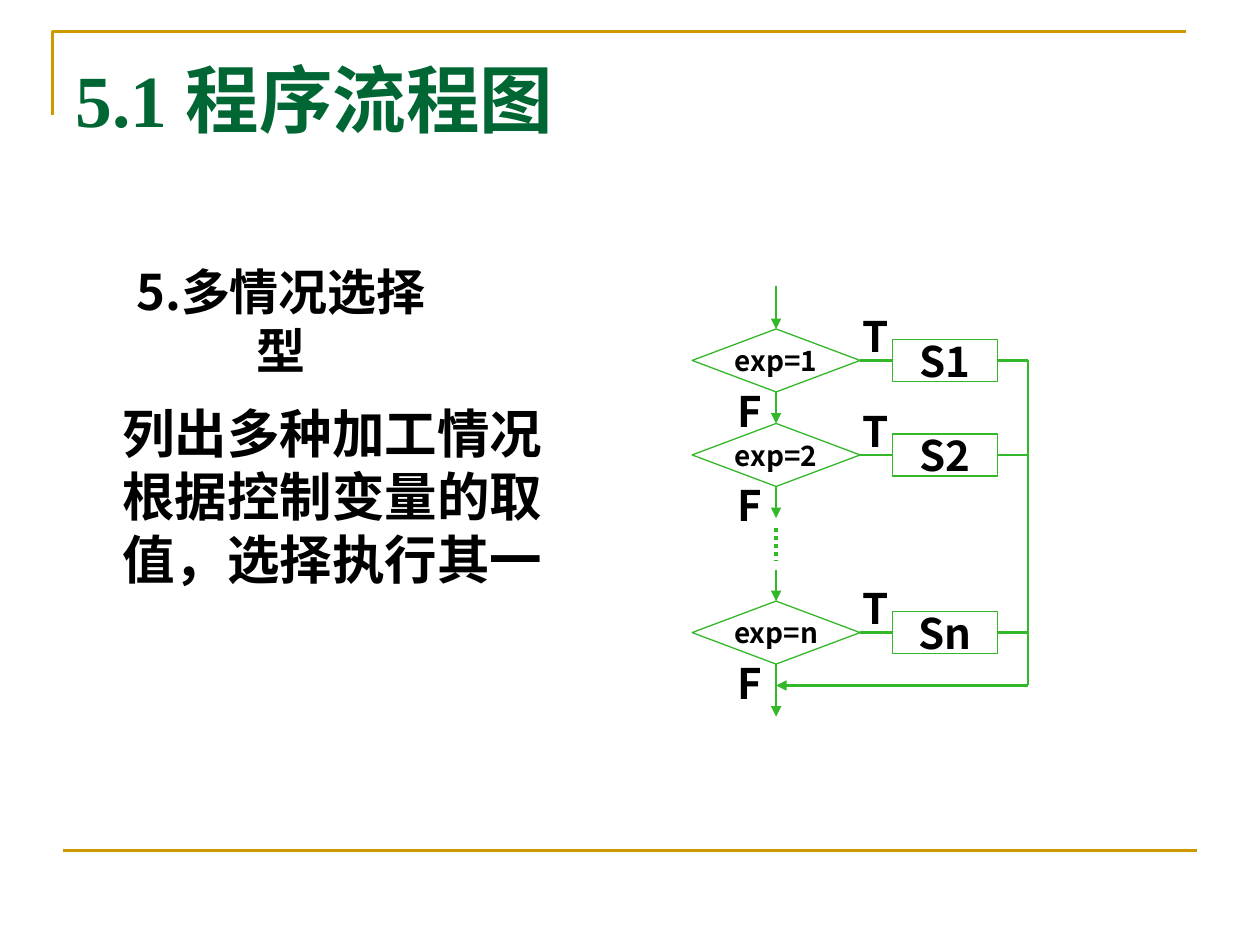
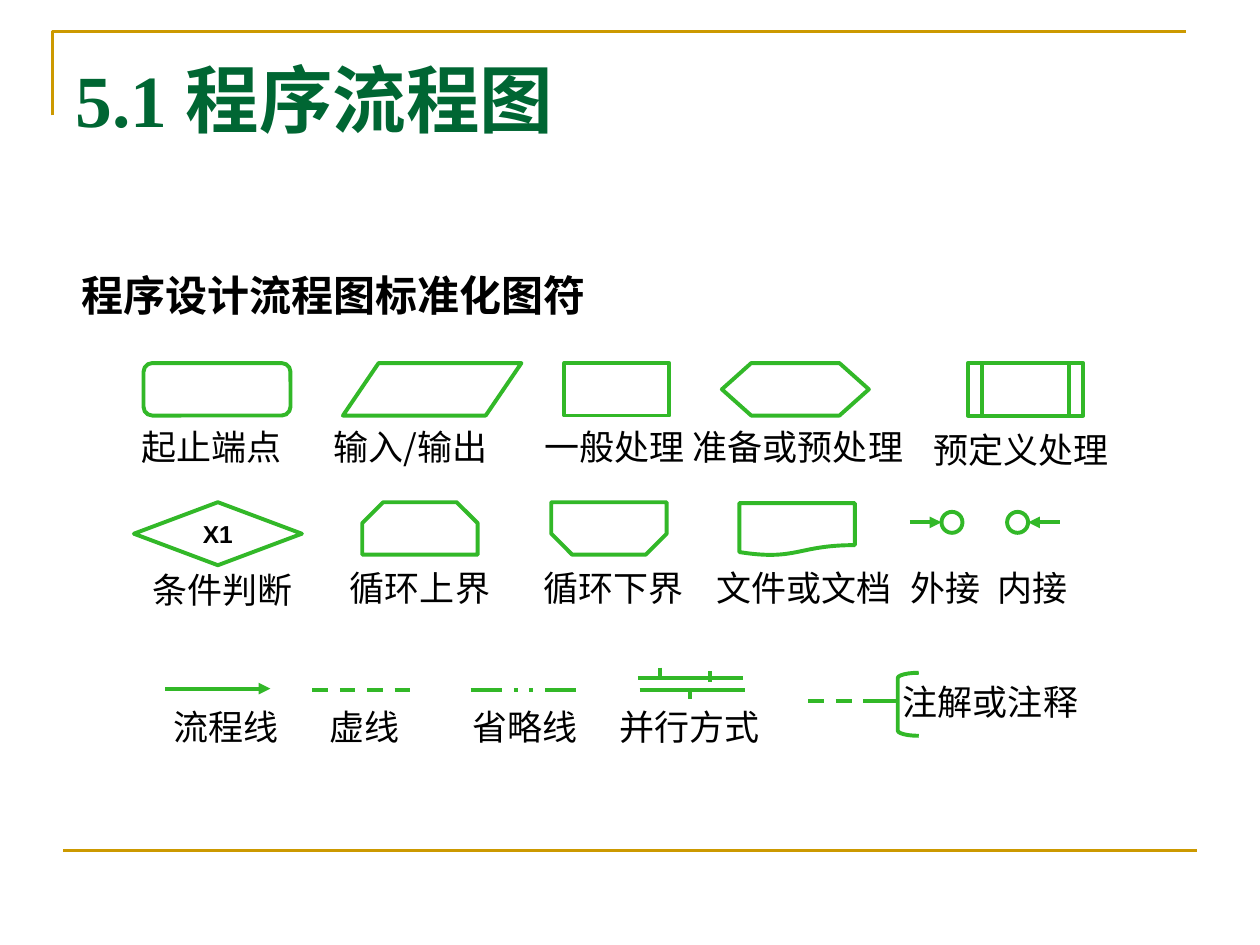
from lxml import etree
from pptx import Presentation
from pptx.dml.color import RGBColor
from pptx.enum.dml import MSO_LINE
from pptx.enum.shapes import MSO_CONNECTOR, MSO_SHAPE
from pptx.enum.text import MSO_ANCHOR, MSO_AUTO_SIZE, PP_ALIGN
from pptx.oxml.ns import qn
from pptx.util import Pt

GREEN = RGBColor(0x32, 0xB8, 0x28)
GOLD = RGBColor(0xCC, 0x99, 0x00)
TITLE = RGBColor(0x00, 0x66, 0x33)
BLACK = RGBColor(0, 0, 0)
WHITE = RGBColor(255, 255, 255)
SANS, SERIF, ARIAL = "Noto Sans CJK SC", "Times New Roman", "Arial"
LEFT, CENTER = PP_ALIGN.LEFT, PP_ALIGN.CENTER
MIDDLE = MSO_ANCHOR.MIDDLE
NO_FIT = MSO_AUTO_SIZE.NONE
STRAIGHT = MSO_CONNECTOR.STRAIGHT
DOT, DASH, DASH_DOT = MSO_LINE.ROUND_DOT, MSO_LINE.DASH, MSO_LINE.DASH_DOT_DOT
RECT, ROUND, DIAMOND = MSO_SHAPE.RECTANGLE, MSO_SHAPE.ROUNDED_RECTANGLE, MSO_SHAPE.FLOWCHART_DECISION
DATA, PREP = MSO_SHAPE.FLOWCHART_DATA, MSO_SHAPE.FLOWCHART_PREPARATION
PREDEF, DOC = MSO_SHAPE.FLOWCHART_PREDEFINED_PROCESS, MSO_SHAPE.FLOWCHART_DOCUMENT
OVAL, BRACKET = MSO_SHAPE.OVAL, MSO_SHAPE.LEFT_BRACKET

HEAD = "5.1 程序流程图"
CASE_HEAD = "5.多情况选择型"
CASE_BODY = "列出多种加工情况根据控制变量的取值，选择执行其一"
CASES = [("exp=1", "S1", 206), ("exp=2", "S2", 260), ("exp=n", "Sn", 361.5)]
# Flow down the main axis: from, to, dash, arrow
FLOW = [
    (163.5, 188, None, True), (224, 242, None, True), (278, 296, None, True),
    (302, 320, DOT, False), (325.5, 343.5, None, True), (379.5, 409.5, None, True),
]
AXIS, RAIL, MERGE = 443.5, 587.5, 391.7

SYMBOL_HEAD = "程序设计流程图标准化图符"
# Preset, centre x, centre y, width, height
SYMBOLS = [
    (ROUND, 124, 222.5, 84, 30), (DATA, 247, 222.5, 102, 30), (RECT, 352.5, 222.5, 60, 30),
    (PREP, 454.5, 222.5, 84, 30), (PREDEF, 586, 222.5, 66, 30),
    (DIAMOND, 124.5, 305, 96, 36), (DOC, 455.5, 302.5, 66, 30),
    (OVAL, 544, 298.5, 12, 12), (OVAL, 581.5, 298.5, 12, 12), (BRACKET, 519, 402.5, 12, 36),
]
# Label, centre x, centre y
LABELS = [
    ("起止端点", 121, 255), ("输入/输出", 234.5, 255), ("一般处理", 351, 255),
    ("准备或预处理", 456, 255), ("预定义处理", 583.5, 257),
    ("条件判断", 127, 337), ("循环上界", 240, 336), ("循环下界", 350.5, 336),
    ("文件或文档", 459.5, 336), ("外接", 540.5, 336), ("内接", 590, 336),
    ("流程线", 129, 415), ("虚线", 208.5, 415), ("省略线", 300, 415),
    ("并行方式", 394, 415), ("注解或注释", 566, 401),
]
# x1, y1, x2, y2, dash, arrow
STROKES = [
    (520, 298.5, 538, 298.5, None, True), (605.5, 298.5, 587.5, 298.5, None, True),
    (94.5, 393.5, 154.5, 393.5, None, True),
    (178.5, 394.5, 238.5, 394.5, DASH, False), (269, 394.5, 329, 394.5, DASH_DOT, False),
    (364.5, 387.5, 424.5, 387.5, None, False), (365.5, 394.5, 425.5, 394.5, None, False),
    (377, 381.5, 377, 387.5, None, False), (405.5, 383.5, 405.5, 389.5, None, False),
    (394.5, 394, 394.5, 399.5, None, False),
    (462, 400.5, 504, 400.5, DASH, False), (502, 400.5, 514, 400.5, None, False),
]


def style(para, size, font, color, bold):
    for run in para.runs:
        run.font.size, run.font.name, run.font.bold = Pt(size), font, bold
        run.font.color.rgb = color
        etree.SubElement(run._r.get_or_add_rPr(), qn("a:ea")).set("typeface", SANS)


def fill_text(frame, words, size, font=SANS, bold=True, align=CENTER, wrap=False):
    frame.margin_left = frame.margin_right = frame.margin_top = frame.margin_bottom = 0
    frame.auto_size, frame.vertical_anchor, frame.word_wrap = NO_FIT, MIDDLE, wrap
    frame.text = words
    para = frame.paragraphs[0]
    para.alignment = align
    if wrap:
        para.line_spacing = Pt(1.2 * size)
    style(para, size, font, BLACK, bold)


def text(slide, words, x, y, size, w=90, h=30, **look):
    """Put a text box centred on x, y."""
    box = slide.shapes.add_textbox(Pt(x - w / 2), Pt(y - h / 2), Pt(w), Pt(h))
    fill_text(box.text_frame, words, size, **look)


def outline(shape, color, width, fill=None):
    shape.shadow.inherit = False
    shape.line.color.rgb, shape.line.width = color, Pt(width)
    if fill is None:
        shape.fill.background()
    else:
        shape.fill.solid()
        shape.fill.fore_color.rgb = fill
    return shape


def symbol(slide, kind, x, y, w, h, width=2.25, fill=None):
    """Draw a preset shape centred on x, y."""
    shape = slide.shapes.add_shape(kind, Pt(x - w / 2), Pt(y - h / 2), Pt(w), Pt(h))
    return outline(shape, GREEN, width, fill)


def trace(slide, points, color, width, close):
    (x, y), *rest = [(Pt(a), Pt(b)) for a, b in points]
    form = slide.shapes.build_freeform(x, y)
    form.add_line_segments(rest, close=close)
    return outline(form.convert_to_shape(), color, width)


def stroke(slide, x1, y1, x2, y2, dash=None, arrow=False, width=1.5, color=GREEN):
    link = slide.shapes.add_connector(STRAIGHT, Pt(x1), Pt(y1), Pt(x2), Pt(y2))
    link.line.color.rgb, link.line.width = color, Pt(width)
    if dash is not None:
        link.line.dash_style = dash
    props = link.element.spPr
    if arrow:
        etree.SubElement(props.find(qn("a:ln")), qn("a:tailEnd")).set("type", "triangle")
    etree.SubElement(props, qn("a:effectLst"))
    return link


def set_layout(layout, slide):
    """Place the title and move the gold frame lines into the layout."""
    title = layout.placeholders[0]
    title.left, title.top, title.width, title.height = Pt(36), Pt(28), Pt(648), Pt(56)
    frame = title.text_frame
    frame.margin_top = frame.margin_bottom = 0
    frame.auto_size, frame.vertical_anchor = NO_FIT, MIDDLE
    corner = trace(slide, [(30, 66), (30, 18), (678, 18)], GOLD, 1.5, False)
    foot = stroke(slide, 36, 486, 684, 486, color=GOLD)
    for part in (corner, foot):
        layout.shapes.element.append(part.element)


def set_title(slide):
    frame = slide.shapes.title.text_frame
    frame.text = HEAD
    para = frame.paragraphs[0]
    para.alignment = LEFT
    style(para, 42, SERIF, TITLE, True)


def draw_cases(slide):
    text(slide, CASE_HEAD, 160.5, 183, 28, w=190, h=68, wrap=True)
    text(slide, CASE_BODY, 199.5, 283, 30, w=259, h=108, font=ARIAL, align=LEFT, wrap=True)
    for top, end, dash, arrow in FLOW:
        stroke(slide, AXIS, top, AXIS, end, dash, arrow, 2.25 if dash else 1.5)
    for test, step, y in CASES:
        gate = symbol(slide, DIAMOND, AXIS, y, 96, 36, 0.75, WHITE)
        fill_text(gate.text_frame, test, 16)
        task = symbol(slide, RECT, 540, y, 60, 24, 0.75, WHITE)
        fill_text(task.text_frame, step, 24)
        stroke(slide, AXIS + 48, y, 510, y)
        stroke(slide, 570, y, RAIL, y)
        text(slide, "T", 500.5, y - 14, 24, w=24)
        text(slide, "F", 428.5, y + 28.5, 24, w=24)
    stroke(slide, RAIL, CASES[0][2], RAIL, MERGE)
    stroke(slide, RAIL, MERGE, AXIS, MERGE, arrow=True)


def loop(slide, x, flat, cut):
    """Draw a loop limit whose corners are cut on the side of cut."""
    bend = cut + (12 if cut < flat else -12)
    points = [(x - 33, flat), (x - 33, bend), (x - 21, cut),
              (x + 21, cut), (x + 33, bend), (x + 33, flat)]
    trace(slide, points, GREEN, 2.25, True)


def draw_symbols(slide):
    text(slide, SYMBOL_HEAD, 190.5, 168.5, 24, w=290)
    for kind, *place in SYMBOLS:
        shape = symbol(slide, kind, *place)
        if kind == DIAMOND:
            fill_text(shape.text_frame, "X1", 14, font=ARIAL)
        elif kind == BRACKET:
            shape.adjustments[0] = 0.25
    loop(slide, 240, 317, 287)
    loop(slide, 348, 287, 317)
    for line in STROKES:
        stroke(slide, *line, width=2.25)
    for words, x, y in LABELS:
        text(slide, words, x, y, 20, bold=False)


def main():
    deck = Presentation()
    deck.slide_width, deck.slide_height = Pt(720), Pt(540)
    layout = deck.slide_layouts[5]
    for number, draw in enumerate((draw_cases, draw_symbols)):
        slide = deck.slides.add_slide(layout)
        if number == 0:
            set_layout(layout, slide)
        set_title(slide)
        draw(slide)
    deck.save("out.pptx")


if __name__ == "__main__":
    main()
